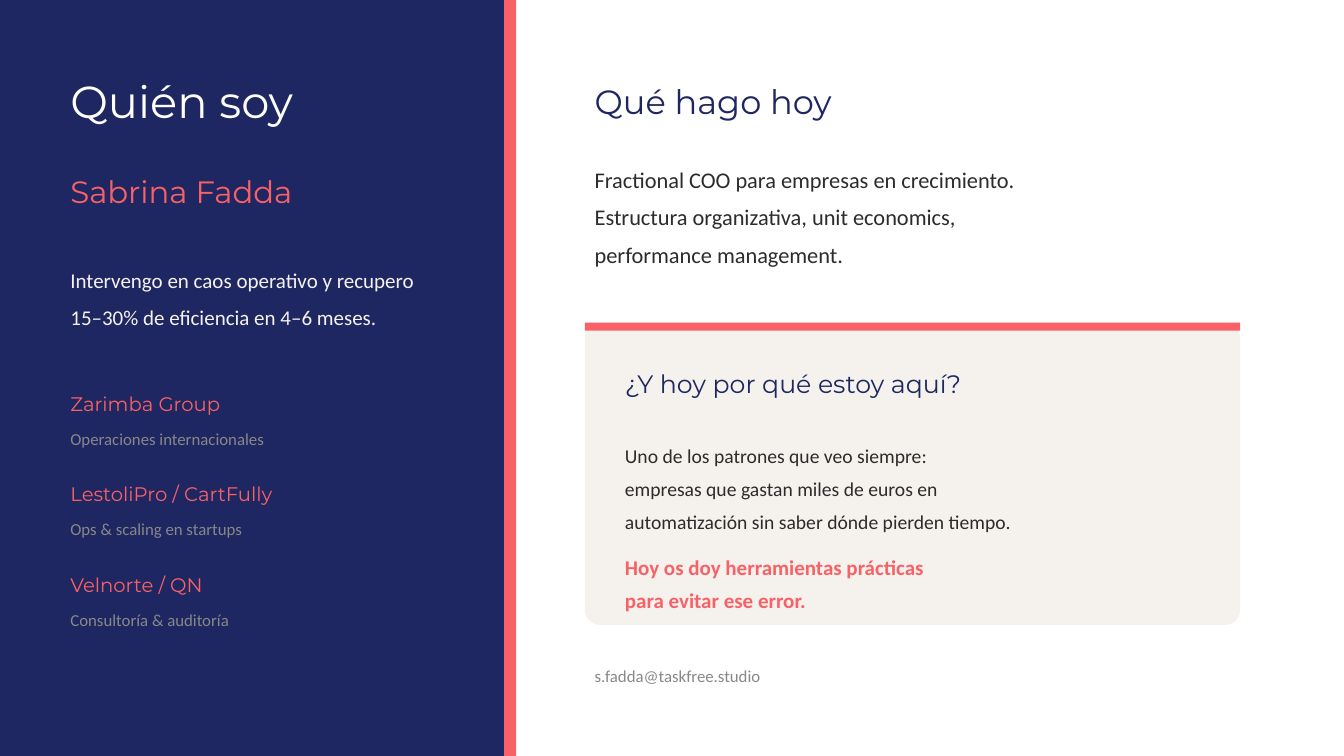
"""Builds the speaker introduction slide."""
from pptx import Presentation
from pptx import util as u
from pptx.dml.color import RGBColor
from pptx.enum import shapes, text

COLORS = {"navy": "1E2761", "coral": "F96167", "cream": "F5F2EE",
          "white": "FFFFFF", "ink": "2C2C2C", "gray": "888888"}
HEADING, BODY = "Montserrat", "Calibri"

PANELS = [
    ("rect", (0, 0, 5, 7.5), "navy"),
    ("rect", (5, 0, 0.12, 7.5), "coral"),
    ("round", (5.8, 3.2, 6.5, 3), "cream"),
    ("rect", (5.8, 3.2, 6.5, 0.08), "coral"),
]

TEXTS = [
    ("Quién soy", (0.6, 0.6, 4, 0.8), HEADING, 32, "white", 1),
    ("Sabrina Fadda", (0.6, 1.6, 4, 0.6), HEADING, 22, "coral", 1),
    ("Intervengo en caos operativo y recupero\n"
     "15–30% de eficiencia en 4–6 meses.",
     (0.6, 2.4, 4, 1), BODY, 15, "cream", 1.5),
    ("Qué hago hoy", (5.8, 0.6, 6.5, 0.8), HEADING, 24, "navy", 1),
    ("Fractional COO para empresas en crecimiento.\n"
     "Estructura organizativa, unit economics,\n"
     "performance management.",
     (5.8, 1.5, 6.5, 1.2), BODY, 16, "ink", 1.4),
    ("¿Y hoy por qué estoy aquí?", (6.1, 3.5, 6, 0.6), HEADING, 18, "navy", 1),
    ("Uno de los patrones que veo siempre:\n"
     "empresas que gastan miles de euros en\n"
     "automatización sin saber dónde pierden tiempo.",
     (6.1, 4.2, 6, 1.2), BODY, 14, "ink", 1.4),
    ("s.fadda@taskfree.studio", (5.8, 6.5, 5, 0.4), BODY, 12, "gray", 1),
]

PROMISE = ("Hoy os doy herramientas prácticas\npara evitar ese error.",
           (6.1, 5.4, 6, 0.7), BODY, 15, "coral", 1.3)

CAREER = [
    ("Zarimba Group", "Operaciones internacionales"),
    ("LestoliPro / CartFully", "Ops & scaling en startups"),
    ("Velnorte / QN", "Consultoría & auditoría"),
]
CAREER_TOP, CAREER_STEP, ROLE_OFFSET = 3.8, 0.9, 0.35


def color(name):
    return RGBColor.from_string(COLORS[name])


def add_panel(slide, outline, box, fill):
    kind = shapes.MSO_SHAPE.RECTANGLE
    if outline == "round":
        kind = shapes.MSO_SHAPE.ROUNDED_RECTANGLE
    panel = slide.shapes.add_shape(kind, *map(u.Inches, box))
    if outline == "round":
        panel.adjustments[0] = 0.05
    panel.shadow.inherit = False
    panel.fill.solid()
    panel.fill.fore_color.rgb = color(fill)
    panel.line.fill.background()


def add_text(slide, words, box, font, size, tint, spacing, bold=False):
    frame = slide.shapes.add_textbox(*map(u.Inches, box)).text_frame
    frame.word_wrap = True
    frame.vertical_anchor = text.MSO_ANCHOR.MIDDLE
    frame.text = words
    for paragraph in frame.paragraphs:
        paragraph.line_spacing = float(spacing)
        for run in paragraph.runs:
            run.font.name = font
            run.font.size = u.Pt(size)
            run.font.bold = bold
            run.font.color.rgb = color(tint)


def main():
    deck = Presentation()
    deck.slide_width, deck.slide_height = u.Inches(13.33), u.Inches(7.5)
    slide = deck.slides.add_slide(deck.slide_layouts[6])
    for panel in PANELS:
        add_panel(slide, *panel)
    for entry in TEXTS:
        add_text(slide, *entry)
    add_text(slide, *PROMISE, bold=True)
    for index, (employer, role) in enumerate(CAREER):
        top = CAREER_TOP + index * CAREER_STEP
        add_text(slide, employer, (0.6, top, 4, 0.4), HEADING, 14, "coral", 1)
        add_text(slide, role, (0.6, top + ROLE_OFFSET, 4, 0.4), BODY, 12, "gray", 1)
    deck.save("out.pptx")


if __name__ == "__main__":
    main()
